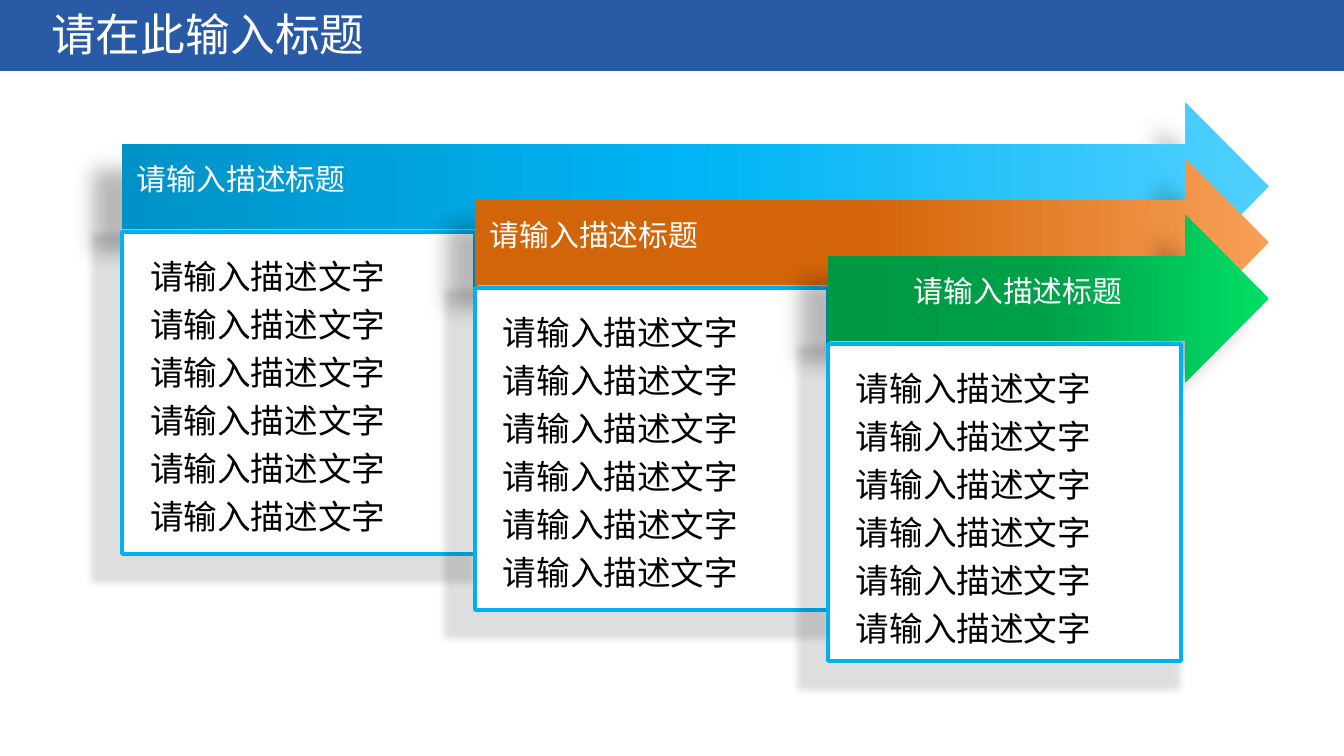
from copy import deepcopy

from lxml import etree
from pptx import Presentation
from pptx.dml.color import RGBColor
from pptx.enum.shapes import MSO_SHAPE
from pptx.enum.text import MSO_ANCHOR, PP_ALIGN
from pptx.oxml.ns import qn
from pptx.util import Pt

PX = 9144000 / 1344
RECT, ARROW = MSO_SHAPE.RECTANGLE, MSO_SHAPE.RIGHT_ARROW
TOP, MIDDLE = MSO_ANCHOR.TOP, MSO_ANCHOR.MIDDLE
LEFT, CENTER = PP_ALIGN.LEFT, PP_ALIGN.CENTER
FONT = "Calibri"
WHITE = RGBColor(0xFF, 0xFF, 0xFF)
BLACK = RGBColor(0x00, 0x00, 0x00)
NAVY = RGBColor(0x29, 0x5A, 0xA6)
SKY = RGBColor(0x00, 0xB0, 0xF0)
BLUES = [RGBColor(0x50, 0xD0, 0xFF), RGBColor(0x00, 0xB4, 0xF5), RGBColor(0x00, 0x92, 0xC7)]
ORANGES = [RGBColor(0xF8, 0xA0, 0x58), RGBColor(0xD5, 0x65, 0x09), RGBColor(0xD2, 0x64, 0x09)]
GREENS = [RGBColor(0x00, 0xDF, 0x65), RGBColor(0x00, 0xA0, 0x49), RGBColor(0x00, 0x97, 0x45)]
HEAD = "请输入描述标题"
LINES = ["请输入描述文字"] * 6


def px(n):
    """Turn pixels into EMU."""
    return round(n * PX)


def add_box(slide, kind, x, y, w, h):
    """Add a preset shape with no line and no shadow."""
    shape = slide.shapes.add_shape(kind, px(x), px(y), px(w), px(h))
    shape.shadow.inherit = False
    shape.line.fill.background()
    return shape


def cast(shape, alpha, blur, dist, angle, grow=100):
    """Give a shape an outer shadow, grown from its top right corner."""
    effects = shape._element.spPr.find(qn("a:effectLst"))
    outer = etree.SubElement(
        effects, qn("a:outerShdw"), blurRad=str(Pt(blur)), dist=str(Pt(dist)),
        dir=str(angle * 60000), sx=str(grow * 1000), sy=str(grow * 1000),
        algn="tr", rotWithShape="0")
    color = etree.SubElement(outer, qn("a:srgbClr"), val=str(BLACK))
    etree.SubElement(color, qn("a:alpha"), val=str(alpha * 1000))


def blend(shape, colors):
    """Fill a shape from right to left with evenly spaced colours."""
    fill = shape.fill
    fill.gradient()
    fill.gradient_angle = 180
    stops = shape._element.spPr.find(".//" + qn("a:gsLst"))
    stops.append(deepcopy(stops[-1]))
    for i, (stop, color) in enumerate(zip(fill.gradient_stops, colors)):
        stop.color.rgb = color
        stop.position = i / 2


def write(shape, lines, size, color, insets, anchor, align=LEFT):
    """Set the paragraphs of a shape and format them."""
    frame = shape.text_frame
    frame.word_wrap = True
    frame.vertical_anchor = anchor
    (frame.margin_left, frame.margin_top,
     frame.margin_right, frame.margin_bottom) = map(px, insets)
    frame.text = "\n".join(lines)
    for para in frame.paragraphs:
        para.alignment = align
        para.line_spacing = 0.9
        para.space_after = Pt(size * 0.35)
        font = para.runs[0].font
        font.name, font.size, font.color.rgb = FONT, Pt(size), color


def add_title(slide, x, y, w, h):
    """Place the title on a full-width band."""
    band = add_box(slide, RECT, x, y, w, h)
    band.fill.solid()
    band.fill.fore_color.rgb = NAVY
    title = slide.shapes.title
    title._element.addprevious(band._element)
    title.left, title.top, title.width, title.height = px(x + 38), px(y), px(476), px(67)
    write(title, ["请在此输入标题"], 24, WHITE, (13, 7, 13, 7), TOP)
    title.text_frame.paragraphs[0].line_spacing = 1.0


def add_step(slide, x, y, w, h, colors, align, inset):
    """Place an arrow with its text card below."""
    arrow = add_box(slide, ARROW, x, y, w, 167)
    blend(arrow, colors)
    cast(arrow, 28, 11.8, 19.7, 141)
    write(arrow, [HEAD], 16, WHITE, (inset, 0, 28, 12), MIDDLE, align)
    card = add_box(slide, RECT, x, y + 129, 353, h - 129)
    card.fill.solid()
    card.fill.fore_color.rgb = WHITE
    card.line.color.rgb = SKY
    card.line.width = Pt(2)
    cast(card, 12, 4, 3, 135, 107)
    write(card, LINES, 18, BLACK, (28, 28, 28, 28), TOP)


def main():
    """Build the slide."""
    deck = Presentation()
    deck.slide_width, deck.slide_height = px(1344), px(756)
    slide = deck.slides.add_slide(deck.slide_layouts[5])
    add_title(slide, 0, 0, 1344, 71)
    steps = [(BLUES, LEFT, 15, 451), (ORANGES, LEFT, 15, 451), (GREENS, CENTER, 9, 446)]
    for i, (colors, align, inset, h) in enumerate(steps):
        x = 122 + 353 * i
        add_step(slide, x, 103 + 56 * i, 1269 - x, h, colors, align, inset)
    deck.save("out.pptx")


if __name__ == "__main__":
    main()
